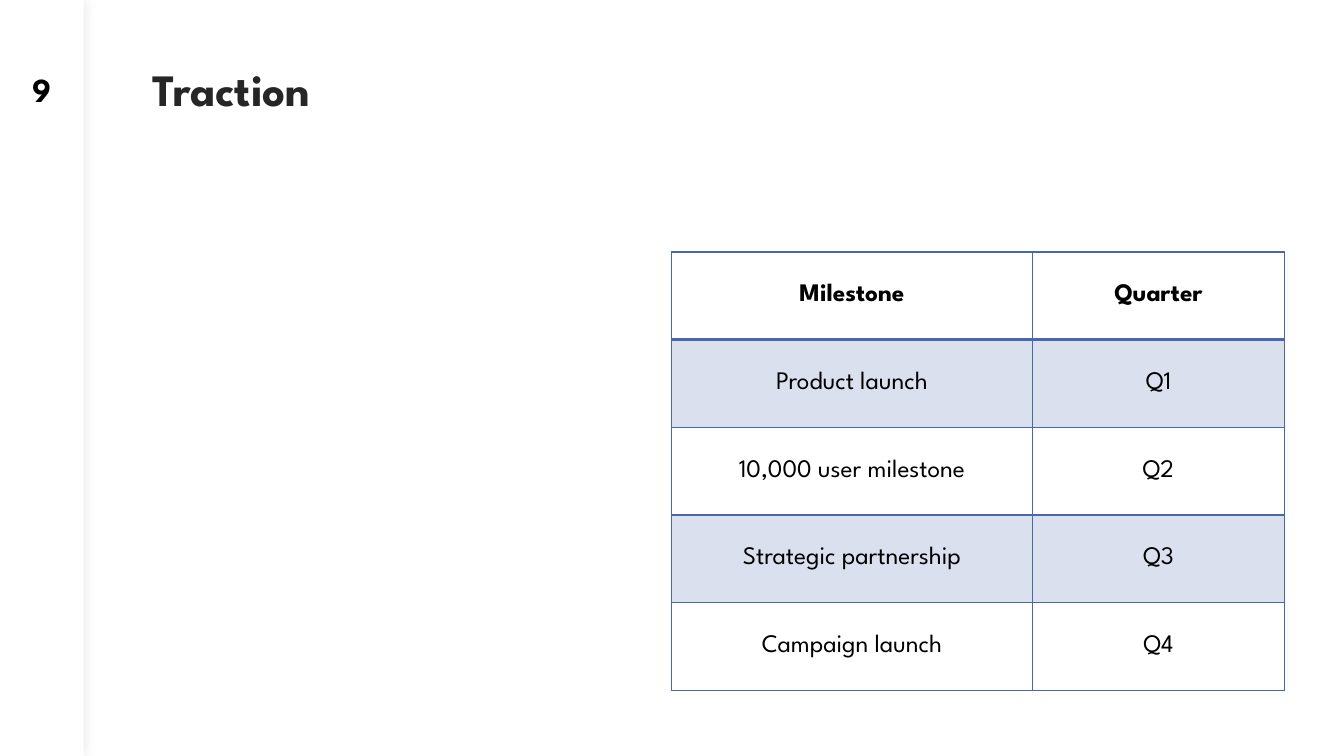
from lxml import etree
from pptx import Presentation
from pptx.dml.color import RGBColor
from pptx.enum.shapes import MSO_SHAPE
from pptx.enum.text import MSO_ANCHOR, PP_ALIGN
from pptx.oxml.ns import qn
from pptx.util import Inches, Pt

RECT = MSO_SHAPE.RECTANGLE
TOP, MIDDLE = MSO_ANCHOR.TOP, MSO_ANCHOR.MIDDLE
LEFT, CENTER = PP_ALIGN.LEFT, PP_ALIGN.CENTER
FONT = "League Spartan"
COLORS = {
    "white": "FFFFFF",
    "black": "000000",
    "title": "262626",
    "border": "4A66AC",
    "band": "DBE0EE",
}
MILESTONES = [
    ("Milestone", "Quarter"),
    ("Product launch", "Q1"),
    ("10,000 user milestone", "Q2"),
    ("Strategic partnership", "Q3"),
    ("Campaign launch", "Q4"),
]
COL_WIDTHS = (3.58, 2.5)
ROW_HEIGHT = 0.87


def rgb(name):
    return RGBColor.from_string(COLORS[name])


def add_color(parent, name, alpha=None):
    clr = etree.SubElement(parent, qn("a:srgbClr"), val=COLORS[name])
    if alpha is not None:
        etree.SubElement(clr, qn("a:alpha"), val=str(alpha * 1000))


def set_text(tf, text, size, color="black", bold=False, align=CENTER):
    tf.text = text
    p = tf.paragraphs[0]
    p.alignment = align
    font = p.runs[0].font
    font.name = FONT
    font.size = Pt(size)
    font.bold = bold
    font.color.rgb = rgb(color)
    return p


def add_sidebar(slide):
    sp = slide.shapes.add_shape(RECT, 0, 0, Inches(0.83), Inches(7.5))
    sp.fill.solid()
    sp.fill.fore_color.rgb = rgb("white")
    sp.line.fill.background()
    sp.shadow.inherit = False
    effects = sp._element.spPr.find(qn("a:effectLst"))
    shadow = etree.SubElement(effects, qn("a:outerShdw"), blurRad=str(Pt(10)),
                              dist="0", dir="0", algn="ctr", rotWithShape="0")
    add_color(shadow, "black", 10)


def add_label(slide, box, text, size, color, align, anchor):
    sp = slide.shapes.add_textbox(*map(Inches, box))
    tf = sp.text_frame
    tf.word_wrap = True
    tf.vertical_anchor = anchor
    return set_text(tf, text, size, color, True, align)


def set_borders(cell, widths):
    tc_pr = cell._tc.get_or_add_tcPr()
    for i, (side, width) in enumerate(widths.items()):
        ln = etree.Element(qn(f"a:ln{side}"), w=str(Pt(width)))
        add_color(etree.SubElement(ln, qn("a:solidFill")), "border")
        tc_pr.insert(i, ln)


def add_milestone_table(slide):
    rows, cols = len(MILESTONES), len(COL_WIDTHS)
    frame = slide.shapes.add_table(rows, cols, Inches(6.66), Inches(2.5),
                                   Inches(sum(COL_WIDTHS)), Inches(ROW_HEIGHT * rows))
    table = frame.table
    table.first_row = True
    table.horz_banding = False
    for col, width in zip(table.columns, COL_WIDTHS):
        col.width = Inches(width)
    for r, texts in enumerate(MILESTONES):
        table.rows[r].height = Inches(ROW_HEIGHT)
        for c, text in enumerate(texts):
            cell = table.cell(r, c)
            cell.vertical_anchor = MIDDLE
            set_text(cell.text_frame, text, 18, bold=r == 0)
            if r % 2:
                cell.fill.solid()
                cell.fill.fore_color.rgb = rgb("band")
            else:
                cell.fill.background()
            set_borders(cell, {"L": 1, "R": 1, "T": 2 if r == 1 else 1,
                               "B": 2 if r == 0 else 1})


def main():
    prs = Presentation()
    prs.slide_width, prs.slide_height = Inches(13.33), Inches(7.5)
    slide = prs.slides.add_slide(prs.slide_layouts[6])
    add_sidebar(slide)
    title = add_label(slide, (1.41, 0.67, 5.38, 1.58), "Traction", 32, "title", LEFT, TOP)
    title.line_spacing = 0.8
    add_label(slide, (0, 0.67, 0.83, 0.42), "9", 24, "black", CENTER, MIDDLE)
    add_milestone_table(slide)
    prs.save("out.pptx")


if __name__ == "__main__":
    main()
